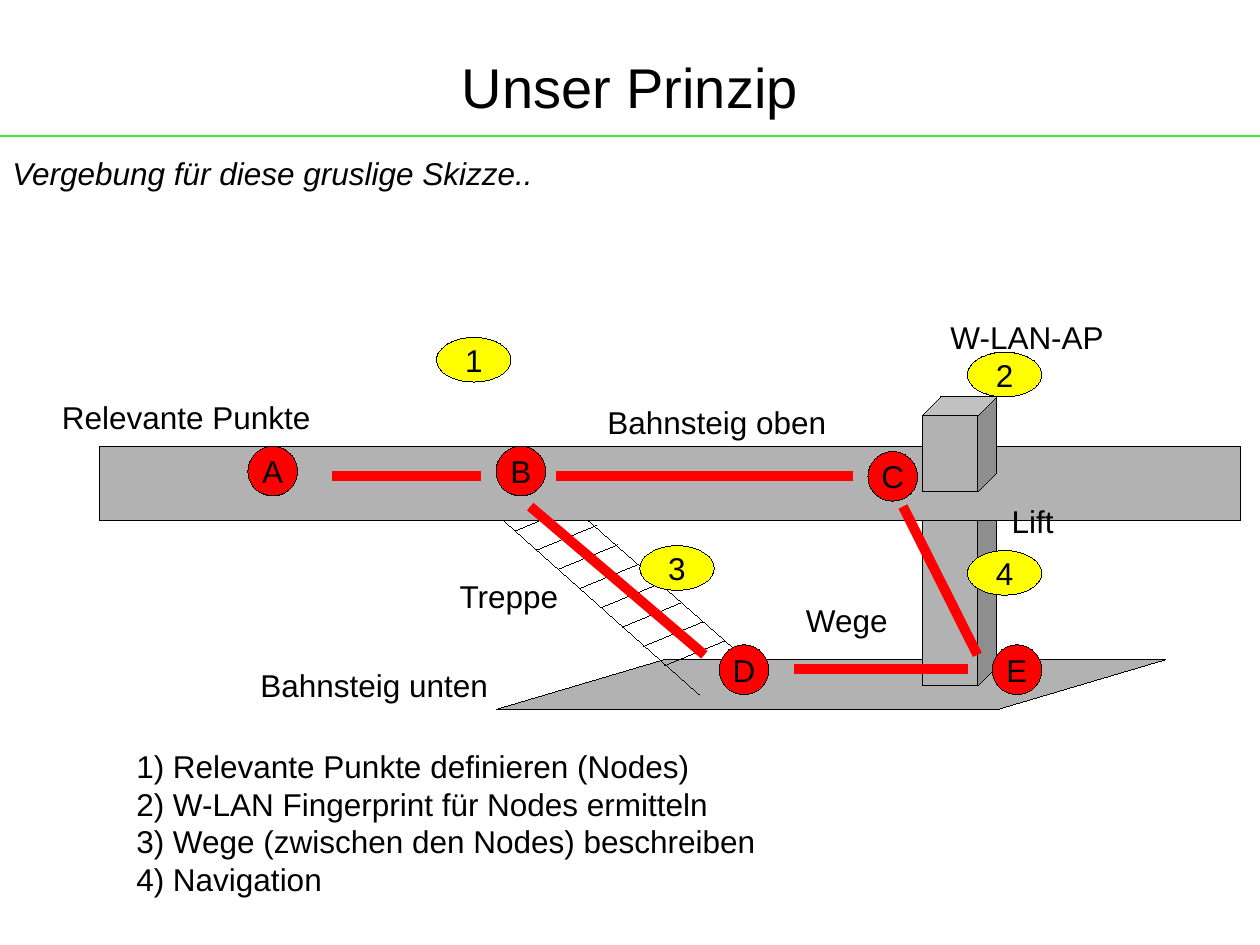
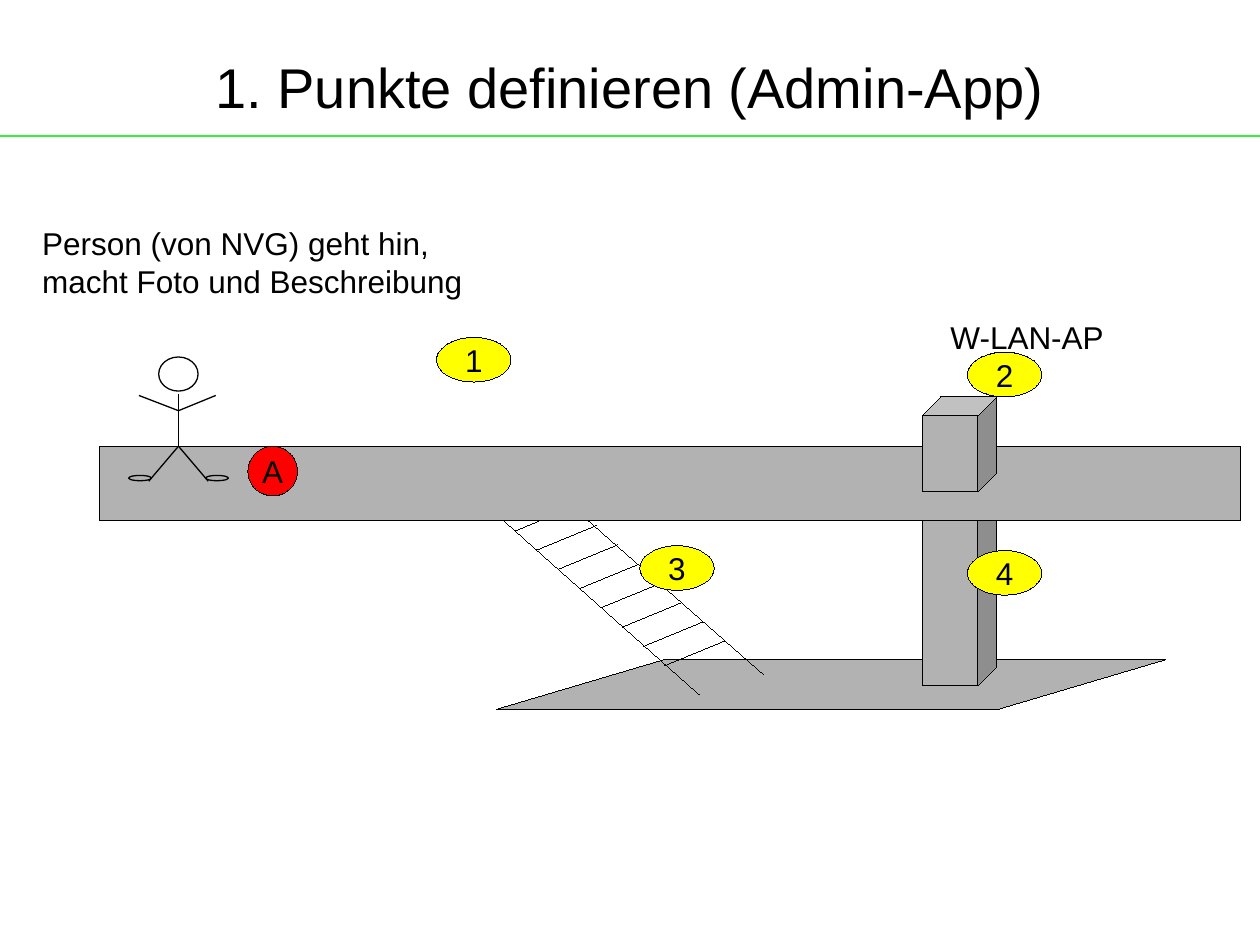
import dataclasses
from typing import Optional

import pptx
import pptx.dml.color
import pptx.enum.shapes
import pptx.enum.text
import pptx.oxml.ns
import pptx.util
from lxml import etree

Pt = pptx.util.Pt
RGBColor = pptx.dml.color.RGBColor
SHAPE = pptx.enum.shapes.MSO_SHAPE
ANCHOR = pptx.enum.text.MSO_ANCHOR
ALIGN = pptx.enum.text.PP_ALIGN

BLACK = RGBColor(0x00, 0x00, 0x00)
GREEN = RGBColor(0x3D, 0xEB, 0x3D)
GREY = RGBColor(0xB2, 0xB2, 0xB2)
YELLOW = RGBColor(0xFF, 0xFF, 0x00)
RED = RGBColor(0xFF, 0x00, 0x00)
FONT = "Arial"
HAIRLINE, THIN, THICK = 0.01, 0.75, 5.67


@dataclasses.dataclass(frozen=True)
class Figure:
    """A preset shape with an optional centred text."""
    kind: SHAPE
    left: float
    top: float
    width: float
    height: float
    fill: Optional[RGBColor] = GREY
    text: str = ""
    weight: float = HAIRLINE


@dataclasses.dataclass(frozen=True)
class Stroke:
    """A straight line between two points."""
    x1: float
    y1: float
    x2: float
    y2: float
    color: RGBColor = BLACK
    weight: float = HAIRLINE


@dataclasses.dataclass(frozen=True)
class Label:
    """A text box."""
    text: str
    left: float
    top: float
    width: float
    height: float = 29
    italic: bool = False


def badge(text: str, left: float, top: float) -> Figure:
    """Return a yellow step number."""
    return Figure(SHAPE.OVAL, left, top, 42.5, 25.5, YELLOW, text)


def node(text: str, left: float, top: float) -> Figure:
    """Return a red relevant point."""
    return Figure(SHAPE.OVAL, left, top, 28.35, 28.35, RED, text)


def way(x1: float, y1: float, x2: float, y2: float) -> Stroke:
    """Return a red way between two nodes."""
    return Stroke(x1, y1, x2, y2, RED, THICK)


def limb(x1: float, y1: float, x2: float, y2: float) -> Stroke:
    """Return one line of the stick figure."""
    return Stroke(x1, y1, x2, y2, weight=THIN)


def body_part(left: float, top: float, width: float, height: float) -> Figure:
    """Return one outlined oval of the stick figure."""
    return Figure(SHAPE.OVAL, left, top, width, height, None, weight=THIN)


LOWER_PLATFORM = Figure(SHAPE.PARALLELOGRAM, 283.5, 377, 382.5, 28.35)
LIFT_SHAFT = Figure(SHAPE.CUBE, 527, 283.5, 42.5, 108)
LIFT_CABIN = Figure(SHAPE.CUBE, 527, 226.8, 42.5, 54)
UPPER_PLATFORM = Figure(SHAPE.RECTANGLE, 56.7, 255, 652, 42.5)
STAIR_RAILS = [Stroke(272.2, 283.5, 399.7, 397), Stroke(317.5, 281, 436.5, 385.5)]
TREAD_COUNT, TREAD_X, TREAD_Y = 8, 294.5, 303.3
STEP_X, STEP_Y, TREAD_RUN, TREAD_RISE = 12.2, 11, 34, 14
BADGES = [badge("4", 552.8, 314.6), badge("2", 552.8, 201.3),
          badge("1", 249.5, 192.8), badge("3", 365.6, 311.8)]
ACCESS_POINT = Label("W-LAN-AP", 536, 178, 120)
NODE_A = node("A", 141.7, 255)

OTHER_NODES = [node("B", 283.5, 255), node("D", 411, 368.5),
               node("C", 496, 258), node("E", 567, 368.5)]
WAYS = [way(190, 272, 275, 272), way(317.5, 272, 487.5, 272),
        way(303, 289.5, 402.5, 374.2), way(453.5, 382.5, 553, 382.5),
        way(516, 289.5, 558.5, 374.2)]
STEPS = ("1) Relevante Punkte definieren (Nodes)\n"
         "2) W-LAN Fingerprint für Nodes ermitteln\n"
         "3) Wege (zwischen den Nodes) beschreiben\n"
         "4) Navigation")
PRINCIPLE_LABELS = [
    Label("Vergebung für diese gruslige Skizze..", 0, 84.6, 368.5, italic=True),
    Label("Bahnsteig oben", 340, 227, 160),
    Label("Bahnsteig unten", 141.7, 377, 170),
    Label("Treppe", 255.5, 326, 90),
    Label("Lift", 571, 283.5, 60),
    Label("Relevante Punkte", 28.3, 224, 185),
    Label("Wege", 453.5, 340, 80),
    Label(STEPS, 70.8, 423.2, 440, 93.6),
]

PERSON_FIGURES = [body_part(90.7, 204, 22.5, 19.5),
                  body_part(117.5, 271.7, 13, 3), body_part(73.5, 271.7, 13, 3)]
PERSON_LIMBS = [limb(102, 225, 102, 255),
                limb(102, 255, 85, 275), limb(102, 255, 119, 275),
                limb(102, 234.7, 79.4, 226), limb(102, 234.7, 123.3, 226)]
PERSON_LABEL = Label("Person (von NVG) geht hin,\nmacht Foto und Beschreibung",
                     17, 124.5, 290, 50.4)


def format_text(tf, size: float, align: ALIGN, italic: bool = False) -> None:
    """Format every run of a text frame."""
    for p in tf.paragraphs:
        p.alignment = align
        for r in p.runs:
            r.font.name = FONT
            r.font.size = Pt(size)
            r.font.italic = italic
            r.font.color.rgb = BLACK


def draw_figure(s, figure: Figure):
    """Draw a preset shape and return it."""
    sp = s.shapes.add_shape(figure.kind, Pt(figure.left), Pt(figure.top),
                            Pt(figure.width), Pt(figure.height))
    sp.shadow.inherit = False
    if figure.fill is None:
        sp.fill.background()
    else:
        sp.fill.solid()
        sp.fill.fore_color.rgb = figure.fill
    sp.line.color.rgb = BLACK
    sp.line.width = Pt(figure.weight)
    if figure.text:
        tf = sp.text_frame
        tf.text = figure.text
        tf.word_wrap = False
        tf.vertical_anchor = ANCHOR.MIDDLE
        format_text(tf, 18, ALIGN.CENTER)
    return sp


def draw_stroke(s, stroke: Stroke) -> None:
    """Draw a straight line without shadow."""
    sp = s.shapes.add_connector(pptx.enum.shapes.MSO_CONNECTOR.STRAIGHT,
                                Pt(stroke.x1), Pt(stroke.y1), Pt(stroke.x2), Pt(stroke.y2))
    sp.line.color.rgb = stroke.color
    sp.line.width = Pt(stroke.weight)
    etree.SubElement(sp._element.spPr, pptx.oxml.ns.qn("a:effectLst"))


def draw_label(s, label: Label) -> None:
    """Draw a text box."""
    sp = s.shapes.add_textbox(Pt(label.left), Pt(label.top), Pt(label.width), Pt(label.height))
    tf = sp.text_frame
    tf.text = label.text
    tf.word_wrap = True
    format_text(tf, 18, ALIGN.LEFT, label.italic)


def draw_title(s, title: str) -> None:
    """Draw the title and the green rule below it."""
    draw_stroke(s, Stroke(0, 77.8, 720, 77.8, GREEN, THIN))
    tf = s.shapes.add_textbox(Pt(36), Pt(24), Pt(648), Pt(50)).text_frame
    tf.text = title
    tf.word_wrap = True
    tf.vertical_anchor = ANCHOR.MIDDLE
    format_text(tf, 32, ALIGN.CENTER)


def draw_stairs(s) -> None:
    """Draw the two rails and the evenly spaced treads."""
    for rail in STAIR_RAILS:
        draw_stroke(s, rail)
    for i in range(TREAD_COUNT):
        x, y = TREAD_X + i * STEP_X, TREAD_Y + i * STEP_Y
        draw_stroke(s, Stroke(x, y, x + TREAD_RUN, y - TREAD_RISE))


def add_station_slide(prs, title: str):
    """Add a slide with the title and the station sketch."""
    s = prs.slides.add_slide(prs.slide_layouts[6])
    draw_title(s, title)
    draw_figure(s, LOWER_PLATFORM).adjustments[0] = 3.375
    draw_figure(s, LIFT_SHAFT)
    draw_stairs(s)
    for figure in [UPPER_PLATFORM, *BADGES, NODE_A, LIFT_CABIN]:
        draw_figure(s, figure)
    draw_label(s, ACCESS_POINT)
    return s


def add_principle_slide(prs) -> None:
    """Add the overview with all nodes and ways."""
    s = add_station_slide(prs, "Unser Prinzip")
    for figure in OTHER_NODES:
        draw_figure(s, figure)
    for stroke in WAYS:
        draw_stroke(s, stroke)
    for label in PRINCIPLE_LABELS:
        draw_label(s, label)


def add_points_slide(prs) -> None:
    """Add the first step with the person at node A."""
    s = add_station_slide(prs, "1. Punkte definieren (Admin-App)")
    for figure in PERSON_FIGURES:
        draw_figure(s, figure)
    for stroke in PERSON_LIMBS:
        draw_stroke(s, stroke)
    draw_label(s, PERSON_LABEL)


def main() -> None:
    """Build and save the presentation."""
    prs = pptx.Presentation()
    prs.slide_width, prs.slide_height = Pt(720), Pt(540)
    add_principle_slide(prs)
    add_points_slide(prs)
    prs.save("out.pptx")


if __name__ == "__main__":
    main()
